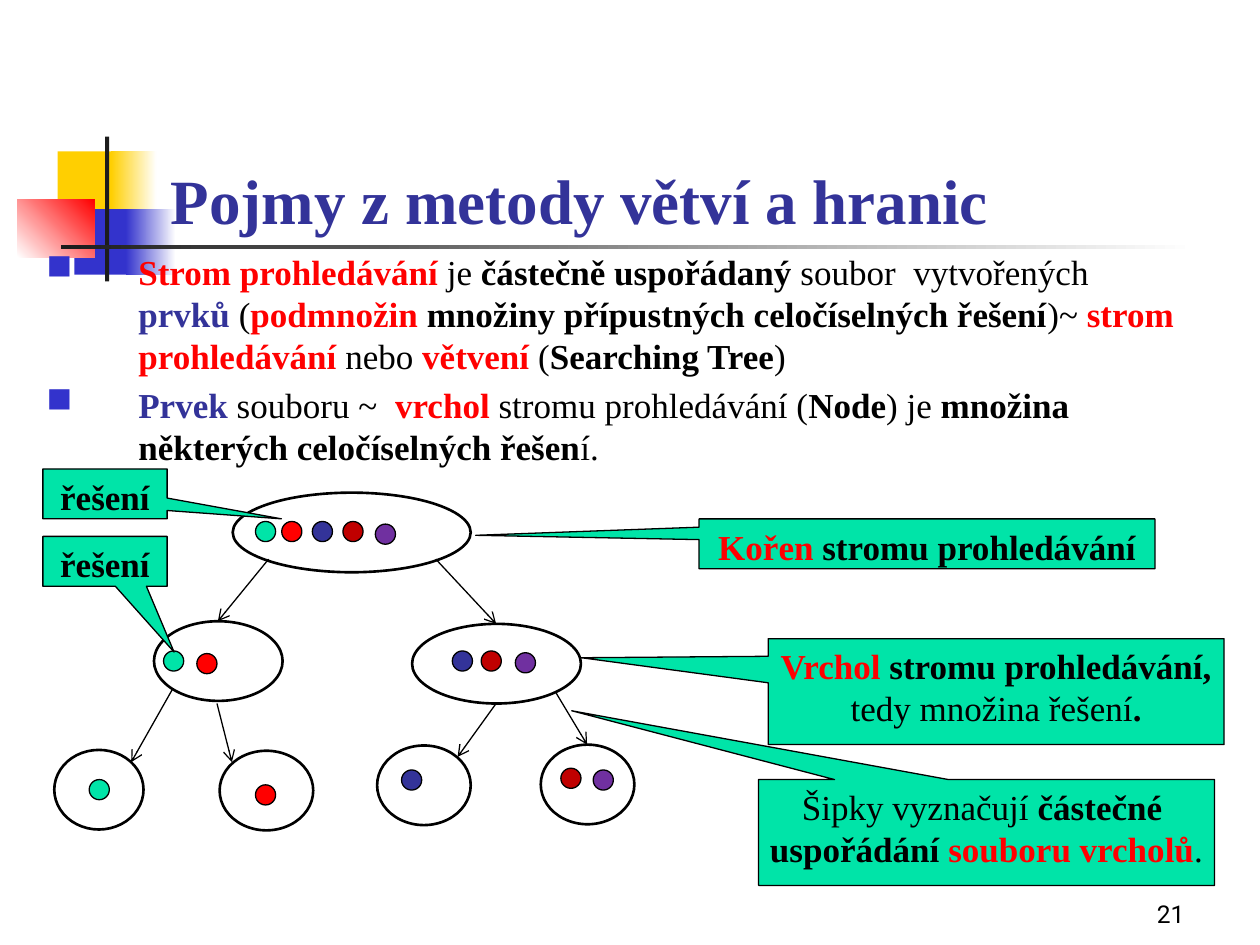
import dataclasses

import pptx
import pptx.dml.color
import pptx.enum.shapes
import pptx.enum.text
import pptx.oxml
import pptx.oxml.ns
import pptx.util

Pt = pptx.util.Pt
Shape = pptx.enum.shapes.MSO_SHAPE
Align = pptx.enum.text.PP_ALIGN
Anchor = pptx.enum.text.MSO_ANCHOR


@dataclasses.dataclass(frozen=True)
class Theme:
    black: str = "000000"
    white: str = "FFFFFF"
    coal: str = "1C1C1C"
    gold: str = "FFCF01"
    blue: str = "3333CC"
    navy: str = "333399"
    red: str = "FF0000"
    wine: str = "C00000"
    plum: str = "7030A0"
    mint: str = "00E4A8"
    serif: str = "Times New Roman"
    sans: str = "Roboto"
    head: int = 36
    text: int = 20
    foot: int = 14
    lead: int = 24


T = Theme()
NODE = 45.5
DOT = 11.5

BLOCKS = [
    (33, 86.5, 34.5, 37.5, [T.gold], 0),
    (63.5, 86.5, 26, 37.5, [T.gold, T.white], 0),
    (42.5, 119.5, 33, 37.5, [T.blue], 0),
    (72, 119.5, 28.5, 37.5, [T.blue, T.white], 0),
    (10, 114, 44, 33, [T.white, T.red], 45),
    (60, 78, 2.4, 82.8, [T.coal], 0),
    (35, 140, 648, 2.6, [T.coal, T.white], 0),
]

BODY = [
    [("Strom prohledávání ", T.red, True), ("je ", T.black, False),
     ("částečně uspořádaný ", T.black, True),
     ("soubor  vytvořených ", T.black, False), ("prvků ", T.navy, True),
     ("(", T.black, False), ("podmnožin", T.red, True),
     (" množiny přípustných celočíselných řešení", T.black, True),
     (")~ ", T.black, False), ("strom prohledávání ", T.red, True),
     ("nebo ", T.black, False), ("větvení", T.red, True),
     (" (", T.black, False), ("Searching Tree", T.black, True),
     (")", T.black, False)],
    [("Prvek ", T.navy, True), ("souboru ~  ", T.black, False),
     ("vrchol ", T.red, True),
     ("stromu prohledávání (", T.black, False), ("Node", T.black, True),
     (") je ", T.black, False),
     ("množina některých celočíselných řešen", T.black, True),
     ("í.", T.black, False)],
]

NODES = [
    (133, 281.5, 136, [(146, 298, T.mint), (161, 298, T.red),
                       (178.5, 298, T.navy), (196, 298, T.wine),
                       (214.5, 299.5, T.plum)]),
    (88, 355, 73.5, [(93.5, 372, T.mint), (112.5, 373.5, T.red)]),
    (235.5, 356.5, 96.5, [(258.5, 372, T.navy), (275, 372, T.wine),
                          (294.5, 373, T.plum)]),
    (31, 428.5, 51, [(51, 445.5, T.mint)]),
    (125.5, 429, 53.5, [(146, 448.5, T.red)]),
    (215.5, 426, 53.5, [(229.5, 440, T.navy)]),
    (309, 425.5, 53.5, [(320.5, 439, T.wine), (339, 440, T.plum)]),
]

ARROWS = [
    (153.5, 319.5, 124.5, 355), (249, 319.5, 283.5, 356.5),
    (98.5, 394, 75, 435.5), (124, 402, 132.5, 435.5),
    (283.5, 402, 261.5, 432.5), (317.5, 395.5, 335.5, 425.5),
]

LABEL = [[("řešení", T.black, True)]]
NOTES = [
    (24.5, 306.5, 71, 28.5, (0.556, 1.82), LABEL),
    (399.5, 296.5, 260.5, 28.5, (-0.99, -0.17),
     [[("Kořen", T.red, True), (" stromu prohledávání", T.black, True)]]),
    (439, 365, 260.5, 60.5, (-0.91, -0.32),
     [[("Vrchol ", T.red, True), ("stromu prohledávání,", T.black, True)],
      [("tedy množina řešení", T.black, False), (".", T.black, True)]]),
    (24.5, 268, 71, 28.5, (1.42, 0.5), LABEL),
    (433.5, 445.5, 260.5, 60.5, (-0.91, -1.15),
     [[("Šipky vyznačují ", T.black, False), ("částečné ", T.black, True),
       ("\n", T.black, True), ("uspořádání ", T.black, True),
       ("souboru vrcholů", T.red, True), (".", T.black, False)]]),
]


def tint(code):
    return pptx.dml.color.RGBColor.from_string(code)


def style(run, size, code, bold=False, face=T.serif):
    run.font.name = face
    run.font.size = Pt(size)
    run.font.bold = bold
    run.font.color.rgb = tint(code)


def fill_text(frame, paras, align):
    for i, parts in enumerate(paras):
        para = frame.paragraphs[0] if i == 0 else frame.add_paragraph()
        para.alignment = align
        para.line_spacing = Pt(T.lead)
        for words, code, bold in parts:
            if words == "\n":
                para.add_line_break()
                continue
            run = para.add_run()
            run.text = words
            style(run, T.text, code, bold)


def add_form(slide, kind, box, code, line=None):
    form = slide.shapes.add_shape(kind, *map(Pt, box))
    form.shadow.inherit = False
    form.fill.solid()
    form.fill.fore_color.rgb = tint(code)
    if line:
        form.line.color.rgb = tint(T.black)
        form.line.width = Pt(line)
    else:
        form.line.fill.background()
    return form


def add_block(slide, x, y, w, h, codes, angle):
    form = add_form(slide, Shape.RECTANGLE, (x, y, w, h), codes[0])
    if len(codes) > 1:
        form.fill.gradient()
        form.fill.gradient_angle = angle
        for stop, code in zip(form.fill.gradient_stops, codes):
            stop.color.rgb = tint(code)


def add_title(slide):
    title = slide.shapes.title
    title.left, title.top, title.width, title.height = map(
        Pt, (90.5, 49, 614, 90))
    frame = title.text_frame
    frame.text = "Pojmy z metody větví a hranic"
    frame.vertical_anchor = Anchor.BOTTOM
    frame.paragraphs[0].alignment = Align.LEFT
    style(frame.paragraphs[0].runs[0], T.head, T.navy, True)
    slide.shapes._spTree.append(title._element)


def add_body(slide):
    frame = slide.shapes.add_textbox(
        *map(Pt, (19.5, 139.5, 664.5, 352))).text_frame
    frame.word_wrap = True
    fill_text(frame, BODY, Align.LEFT)
    for para in frame.paragraphs:
        para.space_before = Pt(4)
        props = para._p.get_or_add_pPr()
        props.set("marL", str(Pt(52.5)))
        props.set("indent", str(-Pt(52.5)))
        space = pptx.oxml.ns.nsdecls("a")
        for part in (f'<a:buClr {space}><a:srgbClr val="{T.blue}"/></a:buClr>',
                     f'<a:buChar {space} char="■"/>'):
            props.append(pptx.oxml.parse_xml(part))


def add_node(slide, x, y, w, dots):
    add_form(slide, Shape.OVAL, (x, y, w, NODE), T.white, 1.5)
    for left, top, code in dots:
        add_form(slide, Shape.OVAL, (left, top, DOT, DOT), code, 0.75)


def add_note(slide, x, y, w, h, tip, paras):
    note = add_form(slide, Shape.RECTANGULAR_CALLOUT, (x, y, w, h),
                    T.mint, 0.75)
    note.adjustments[0], note.adjustments[1] = tip
    frame = note.text_frame
    frame.word_wrap = False
    frame.vertical_anchor = Anchor.TOP
    fill_text(frame, paras, Align.CENTER)


def add_arrow(slide, *ends):
    arrow = slide.shapes.add_connector(
        pptx.enum.shapes.MSO_CONNECTOR.STRAIGHT, *map(Pt, ends))
    arrow.line.color.rgb = tint(T.black)
    arrow.line.width = Pt(0.75)
    space = pptx.oxml.ns.nsdecls("a")
    arrow.line._get_or_add_ln().append(
        pptx.oxml.parse_xml(f'<a:tailEnd {space} type="arrow"/>'))
    arrow._element.spPr.append(
        pptx.oxml.parse_xml(f"<a:effectLst {space}/>"))


def add_foot(slide):
    frame = slide.shapes.add_textbox(
        *map(Pt, (534, 498, 150, 36))).text_frame
    frame.word_wrap = True
    frame.vertical_anchor = Anchor.BOTTOM
    frame.text = "21"
    frame.paragraphs[0].alignment = Align.RIGHT
    style(frame.paragraphs[0].runs[0], T.foot, T.black, face=T.sans)


def main():
    deck = pptx.Presentation()
    deck.slide_width, deck.slide_height = Pt(720), Pt(540)
    slide = deck.slides.add_slide(deck.slide_layouts[5])
    for block in BLOCKS:
        add_block(slide, *block)
    add_foot(slide)
    add_title(slide)
    add_body(slide)
    for node in NODES:
        add_node(slide, *node)
    for note in NOTES[:-1]:
        add_note(slide, *note)
    for ends in ARROWS:
        add_arrow(slide, *ends)
    add_note(slide, *NOTES[-1])
    deck.save("out.pptx")


if __name__ == "__main__":
    main()
